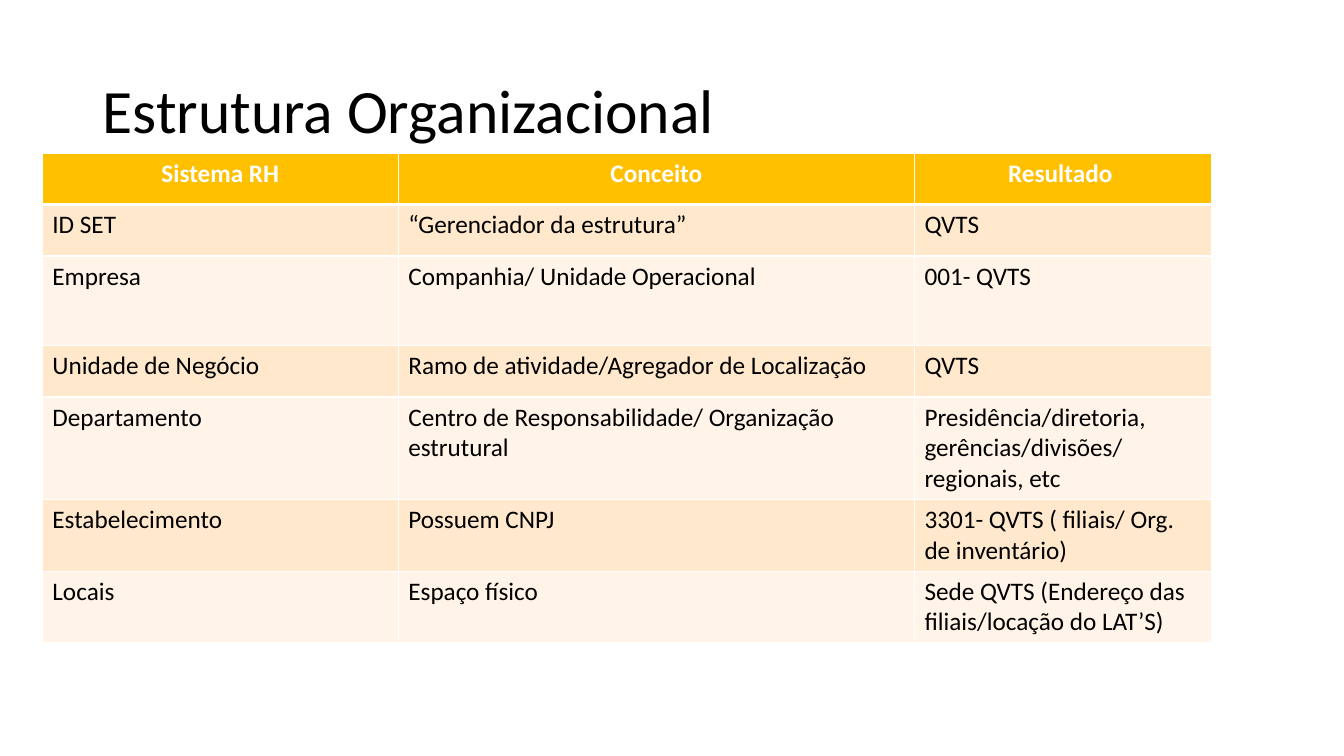
from lxml import etree
from pptx import Presentation
from pptx import util as u
from pptx.dml.color import RGBColor
from pptx.enum import text
from pptx.oxml.ns import qn

PX = 9144  # 100 px to the inch
FONT = "Calibri"
BLACK = RGBColor(0x00, 0x00, 0x00)
WHITE = RGBColor(0xFF, 0xFF, 0xFF)
GOLD = RGBColor(0xFF, 0xC0, 0x00)
BANDS = [RGBColor(0xFF, 0xF4, 0xE7), RGBColor(0xFF, 0xE8, 0xCC)]

COL_WIDTHS = [353, 512, 295]
ROW_HEIGHTS = [51, 51, 89, 51, 51, 51, 51]
ROWS = [
    ("Sistema RH", "Conceito", "Resultado "),
    ("ID SET", "“Gerenciador da estrutura”", "QVTS"),
    ("Empresa", "Companhia/ Unidade Operacional", "001- QVTS"),
    ("Unidade de Negócio", "Ramo de atividade/Agregador de Localização", "QVTS"),
    ("Departamento", "Centro de Responsabilidade/ Organização estrutural",
     "Presidência/diretoria, gerências/divisões/ regionais, etc"),
    ("Estabelecimento", "Possuem CNPJ", "3301- QVTS ( filiais/ Org. de inventário)"),
    ("Locais", "Espaço físico", "Sede QVTS (Endereço das filiais/locação do LAT’S)"),
]


def add_border(cell, side, points):
    tc_pr = cell._tc.get_or_add_tcPr()
    ln = etree.SubElement(tc_pr, qn(f"a:ln{side}"), w=str(u.Pt(points)))
    fill = etree.SubElement(ln, qn("a:solidFill"))
    etree.SubElement(fill, qn("a:srgbClr"), val=str(WHITE))


prs = Presentation()
prs.slide_width, prs.slide_height = 1333 * PX, 750 * PX
s = prs.slides.add_slide(prs.slide_layouts[6])

# Table
table = s.shapes.add_table(
    len(ROWS), len(COL_WIDTHS), 42 * PX, 152 * PX,
    sum(COL_WIDTHS) * PX, sum(ROW_HEIGHTS) * PX).table
for col, width in zip(table.columns, COL_WIDTHS):
    col.width = width * PX
for row, height in zip(table.rows, ROW_HEIGHTS):
    row.height = height * PX

for i, labels in enumerate(ROWS):
    header = i == 0
    for j, label in enumerate(labels):
        cell = table.cell(i, j)
        for side in "LRTB":
            under_header = (i, side) in [(0, "B"), (1, "T")]
            add_border(cell, side, 3 if under_header else 1)
        cell.fill.solid()
        cell.fill.fore_color.rgb = GOLD if header else BANDS[i % 2]
        cell.text = label
        p = cell.text_frame.paragraphs[0]
        p.alignment = text.PP_ALIGN.CENTER if header else text.PP_ALIGN.LEFT
        p.font.name, p.font.size = FONT, u.Pt(18)
        p.font.bold = header
        p.font.color.rgb = WHITE if header else BLACK

# Title
title = s.shapes.add_textbox(92 * PX, 40 * PX, 1150 * PX, 145 * PX)
tf = title.text_frame
tf.word_wrap = True
tf.vertical_anchor = text.MSO_ANCHOR.MIDDLE
p = tf.paragraphs[0]
p.text = "Estrutura Organizacional"
p.line_spacing = 0.9
p.font.name, p.font.size = FONT, u.Pt(44)
p.font.color.rgb = BLACK

prs.save("out.pptx")
